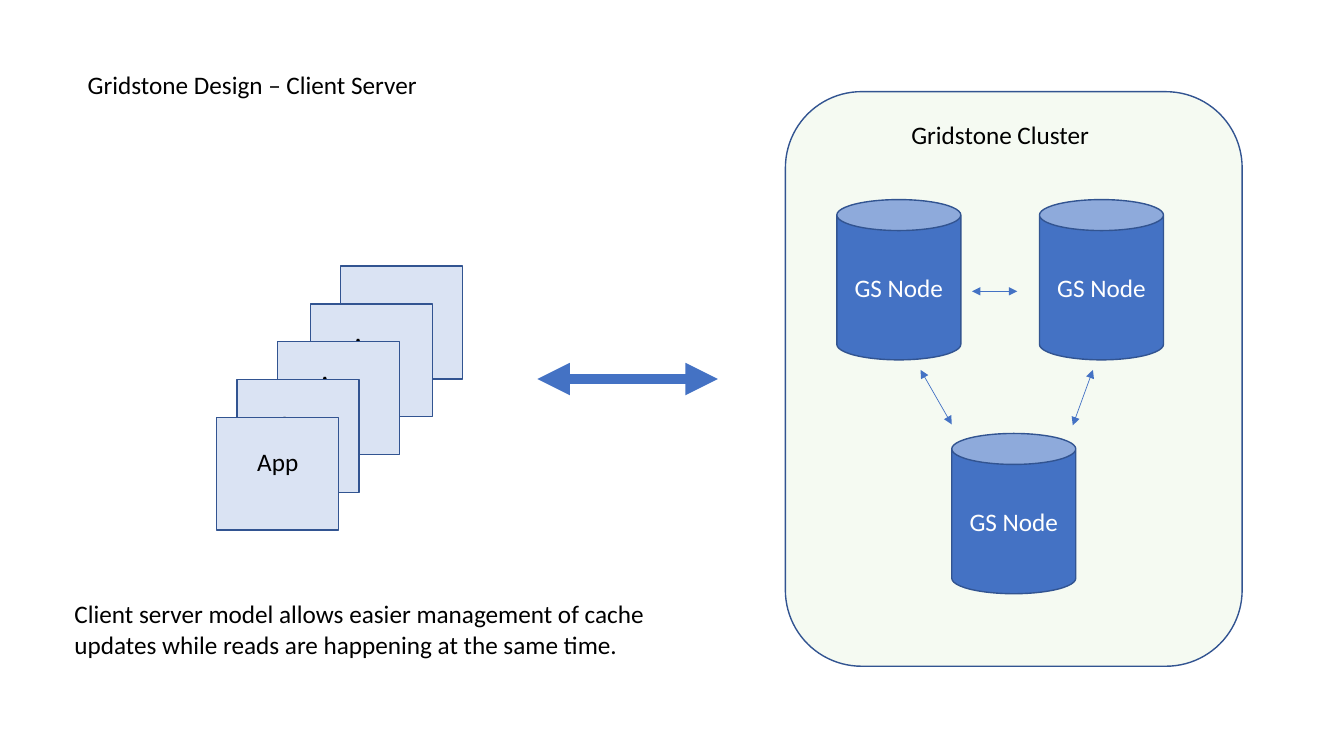
from dataclasses import dataclass

from lxml.etree import SubElement
from pptx import Presentation
from pptx.dml.color import RGBColor
from pptx.enum.shapes import MSO_CONNECTOR, MSO_SHAPE
from pptx.enum.text import MSO_ANCHOR, PP_ALIGN
from pptx.oxml.ns import qn
from pptx.shapes.autoshape import Shape
from pptx.slide import Slide
from pptx.util import Inches, Pt

BLACK = RGBColor(0x00, 0x00, 0x00)
WHITE = RGBColor(0xFF, 0xFF, 0xFF)
BLUE = RGBColor(0x44, 0x72, 0xC4)
NAVY = RGBColor(0x32, 0x54, 0x91)
PALE = RGBColor(0xDA, 0xE3, 0xF3)
GREEN = RGBColor(0xE2, 0xF0, 0xD9)


@dataclass
class Box:
    """A rectangle in inches."""
    left: float
    top: float
    width: float
    height: float

    def emu(self) -> list[int]:
        """Give the four lengths for python-pptx."""
        return [Inches(n) for n in (self.left, self.top, self.width, self.height)]


@dataclass
class Arrow:
    """A two-headed arrow with its line width in points."""
    start: tuple[float, float]
    end: tuple[float, float]
    weight: float = 0.5


@dataclass
class App:
    """One card of the client stack and the inset that lifts its label."""
    left: float
    inset: float


APPS = [App(3.38, 0.29), App(3.08, 0.35), App(2.75, 0.35), App(2.35, 0.29), App(2.15, 0.29)]
APP_TOP, APP_STEP = 2.64, 0.375
NODES = [(8.3, 1.98), (10.31, 1.98), (9.44, 4.3)]
ARROWS = [
    Arrow((9.13, 3.67), (9.44, 4.21)),
    Arrow((10.84, 3.67), (10.64, 4.22)),
    Arrow((10.09, 2.89), (9.64, 2.89)),
    Arrow((5.33, 3.76), (7.12, 3.76), 7.75),
]


def write(shape: Shape, text: str, *, color: RGBColor = BLACK,
          align: PP_ALIGN = PP_ALIGN.LEFT, anchor: MSO_ANCHOR = MSO_ANCHOR.TOP,
          inset: float = 0.05) -> None:
    """Set the text of a shape and its format."""
    frame = shape.text_frame
    frame.word_wrap = True
    frame.vertical_anchor = anchor
    frame.margin_bottom = Inches(inset)
    para = frame.paragraphs[0]
    para.alignment = align
    run = para.add_run()
    run.text = text
    run.font.name = "Calibri"
    run.font.size = Pt(18)
    run.font.color.rgb = color


def add_form(slide: Slide, kind: MSO_SHAPE, box: Box, fill: RGBColor) -> Shape:
    """Draw a filled preset shape with a navy outline."""
    shape = slide.shapes.add_shape(kind, *box.emu())
    shape.shadow.inherit = False
    shape.fill.solid()
    shape.fill.fore_color.rgb = fill
    shape.line.color.rgb = NAVY
    shape.line.width = Pt(1)
    return shape


def add_label(slide: Slide, box: Box, text: str) -> None:
    """Place a plain text box."""
    write(slide.shapes.add_textbox(*box.emu()), text)


def add_arrow(slide: Slide, arrow: Arrow) -> None:
    """Draw a line with a triangle at both ends."""
    ends = [Inches(n) for n in (*arrow.start, *arrow.end)]
    link = slide.shapes.add_connector(MSO_CONNECTOR.STRAIGHT, *ends)
    link.line.color.rgb = BLUE
    link.line.width = Pt(arrow.weight)
    props = link.element.spPr
    for tag in ("a:headEnd", "a:tailEnd"):
        SubElement(props.find(qn("a:ln")), qn(tag), type="triangle")
    SubElement(props, qn("a:effectLst"))


def main() -> None:
    """Build the slide and save it."""
    deck = Presentation()
    deck.slide_width, deck.slide_height = Inches(13.33), Inches(7.5)
    slide = deck.slides.add_slide(deck.slide_layouts[5])

    title = slide.shapes.title
    title.left, title.top, title.width, title.height = Box(0.77, 0.64, 4.77, 0.4).emu()
    write(title, "Gridstone Design – Client Server")

    for i, app in enumerate(APPS):
        box = Box(app.left, APP_TOP + i * APP_STEP, 1.21, 1.12)
        card = add_form(slide, MSO_SHAPE.RECTANGLE, box, PALE)
        write(card, "App", align=PP_ALIGN.CENTER, anchor=MSO_ANCHOR.MIDDLE, inset=app.inset)

    group = add_form(slide, MSO_SHAPE.ROUNDED_RECTANGLE, Box(7.79, 0.91, 4.53, 5.7), GREEN)
    tint = group.element.spPr.find(qn("a:solidFill"))[0]
    SubElement(tint, qn("a:alpha"), val="33000")
    add_label(slide, Box(8.94, 1.13, 2.31, 0.4), "Gridstone Cluster")

    for left, top in NODES:
        node = add_form(slide, MSO_SHAPE.CAN, Box(left, top, 1.23, 1.59), BLUE)
        write(node, "GS Node", color=WHITE, align=PP_ALIGN.CENTER, anchor=MSO_ANCHOR.MIDDLE)

    for arrow in ARROWS:
        add_arrow(slide, arrow)

    add_label(slide, Box(0.64, 5.89, 5.86, 1.01),
              "Client server model allows easier management of cache updates "
              "while reads are happening at the same time.")
    deck.save("out.pptx")


if __name__ == "__main__":
    main()
